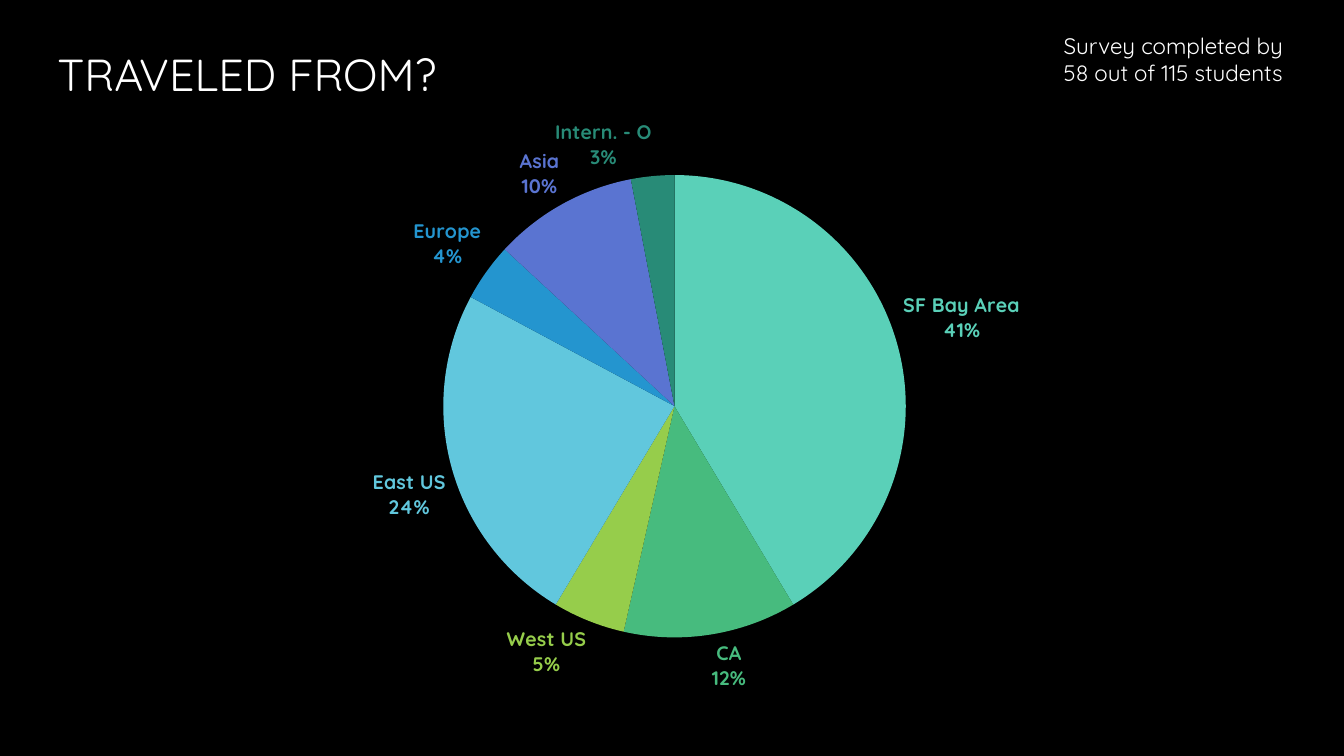
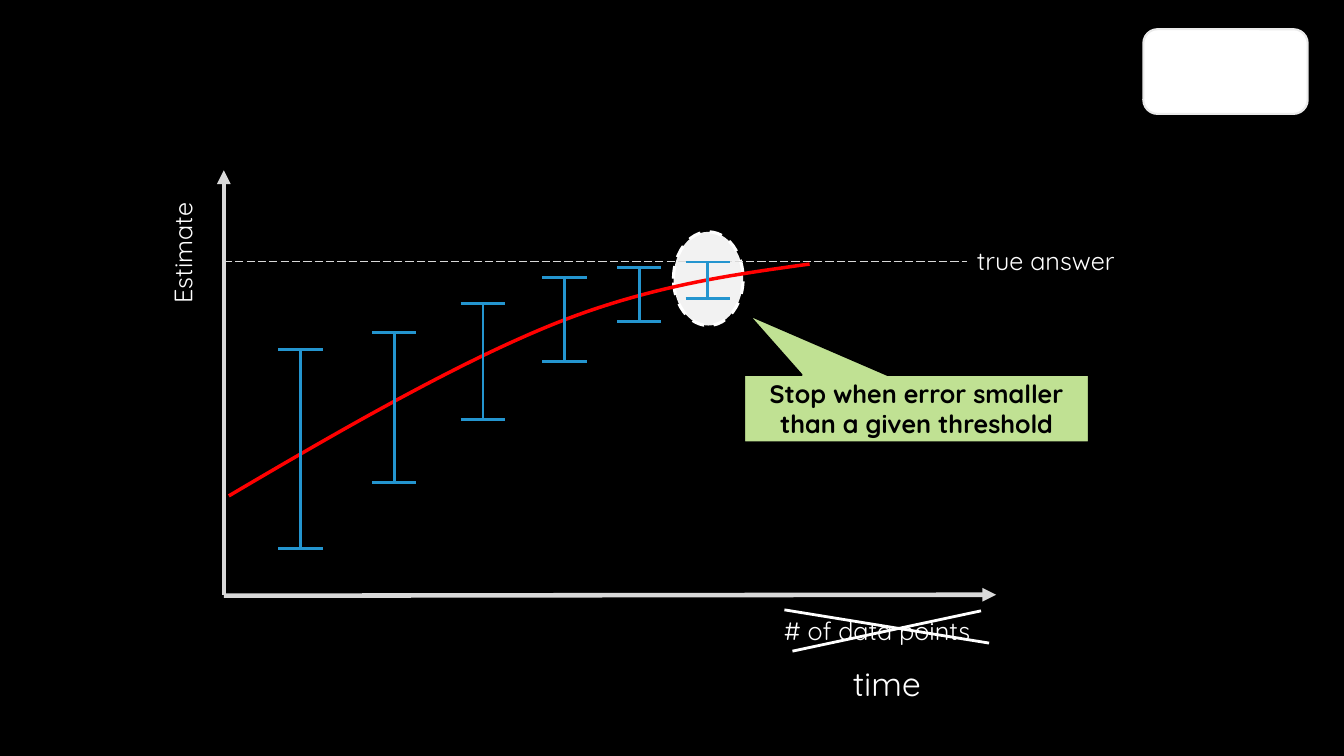
"""Build two slides: a pie of survey answers and a sketch of estimate error."""
from lxml import etree
from pptx import Presentation
from pptx.chart.data import CategoryChartData
from pptx.dml.color import RGBColor
from pptx.enum.chart import XL_CHART_TYPE, XL_LABEL_POSITION
from pptx.enum.dml import MSO_LINE
from pptx.enum.shapes import MSO_CONNECTOR, MSO_SHAPE
from pptx.enum.text import MSO_ANCHOR, PP_ALIGN
from pptx.oxml.ns import qn
from pptx.util import Inches, Pt

PIE, OUTSIDE = XL_CHART_TYPE.PIE, XL_LABEL_POSITION.OUTSIDE_END
DASH, LONG_DASH = MSO_LINE.DASH, MSO_LINE.LONG_DASH
STRAIGHT = MSO_CONNECTOR.STRAIGHT
OVAL, ROUND, CALLOUT = MSO_SHAPE.OVAL, MSO_SHAPE.ROUNDED_RECTANGLE, MSO_SHAPE.RECTANGULAR_CALLOUT
TOP, MIDDLE = MSO_ANCHOR.TOP, MSO_ANCHOR.MIDDLE
LEFT, CENTER = PP_ALIGN.LEFT, PP_ALIGN.CENTER

FONT = "Quicksand"
BLACK = RGBColor(0x00, 0x00, 0x00)
WHITE = RGBColor(0xFF, 0xFF, 0xFF)
PALE = RGBColor(0xF2, 0xF2, 0xF2)
EDGE = RGBColor(0xEB, 0xEB, 0xEB)
GREY = RGBColor(0xD9, 0xD9, 0xD9)
RED = RGBColor(0xFF, 0x00, 0x00)
LIME = RGBColor(0xC0, 0xE1, 0x93)
BLUE = RGBColor(0x24, 0x95, 0xCF)
MINT = RGBColor(0x5A, 0xD0, 0xB8)
GREEN = RGBColor(0x47, 0xBB, 0x7E)
GRASS = RGBColor(0x96, 0xCD, 0x4B)
SKY = RGBColor(0x61, 0xC7, 0xDD)
VIOLET = RGBColor(0x5A, 0x74, 0xD1)
TEAL = RGBColor(0x28, 0x8B, 0x77)

ORIGINS = [
    ("SF Bay Area", 41, MINT),
    ("CA", 12, GREEN),
    ("West US", 5, GRASS),
    ("East US", 24, SKY),
    ("Europe", 4, BLUE),
    ("Asia", 10, VIOLET),
    ("Intern. - O", 3, TEAL),
]
PLOT = {"x": 0.246, "y": 0.114, "w": 0.516, "h": 0.774}

BARS = [
    (2.98, 3.47, 5.44),
    (3.91, 3.3, 4.79),
    (4.79, 3.01, 4.16),
    (5.6, 2.75, 3.59),
    (6.34, 2.65, 3.19),
    (7.02, 2.6, 2.96),
]
CAP = 0.22
TREND = [
    ((2.27, 4.92), (3.39, 4.26), (4.52, 3.61), (5.48, 3.22)),
    ((5.48, 3.22), (6.43, 2.84), (7.23, 2.73), (8.03, 2.62)),
]
STEPS = 24


def style(font, size, color, bold=False):
    font.name, font.size, font.bold = FONT, Pt(size), bold
    font.color.rgb = color


def write(frame, text, size=18, color=WHITE, bold=False, align=LEFT, anchor=TOP):
    frame.word_wrap = True
    frame.vertical_anchor = anchor
    line = frame.paragraphs[0]
    line.alignment = align
    run = line.add_run()
    run.text = text
    style(run.font, size, color, bold)


def bezier(curve, t):
    weights = ((1 - t) ** 3, 3 * t * (1 - t) ** 2, 3 * t * t * (1 - t), t ** 3)
    return tuple(Inches(sum(w * p[axis] for w, p in zip(weights, curve))) for axis in (0, 1))


class Deck:
    def __init__(self):
        self.prs = Presentation()
        self.prs.slide_width, self.prs.slide_height = Inches(13.33), Inches(7.5)
        back = self.prs.slide_master.background.fill
        back.solid()
        back.fore_color.rgb = BLACK
        self.slide = None

    def page(self):
        self.slide = self.prs.slides.add_slide(self.prs.slide_layouts[6])

    def stroke(self, line, color, width, dash=None):
        line.color.rgb, line.width = color, Pt(width)
        if dash is not None:
            line.dash_style = dash

    def text(self, box, text, turn=0, **look):
        shape = self.slide.shapes.add_textbox(*map(Inches, box))
        shape.rotation = turn
        write(shape.text_frame, text, **look)

    def shape(self, kind, box, fill, edge, width, dash=None):
        shape = self.slide.shapes.add_shape(kind, *map(Inches, box))
        shape.shadow.inherit = False
        shape.fill.solid()
        shape.fill.fore_color.rgb = fill
        self.stroke(shape.line, edge, width, dash)
        return shape

    def line(self, start, end, color, width, dash=None, arrow=False):
        link = self.slide.shapes.add_connector(STRAIGHT, *map(Inches, start + end))
        self.stroke(link.line, color, width, dash)
        if arrow:
            ln = link.line._get_or_add_ln()
            etree.SubElement(ln, qn("a:tailEnd"), type="triangle")
        etree.SubElement(link._element.spPr, qn("a:effectLst"))

    def curve(self, parts, color, width):
        points = [bezier(part, i / STEPS) for part in parts for i in range(STEPS + 1)]
        pen = self.slide.shapes.build_freeform(*points[0])
        pen.add_line_segments(points[1:], close=False)
        shape = pen.convert_to_shape()
        shape.shadow.inherit = False
        shape.fill.background()
        self.stroke(shape.line, color, width)

    def pie(self, box, rows):
        data = CategoryChartData()
        data.categories = [name for name, _, _ in rows]
        data.add_series("Series 1", [value for _, value, _ in rows])
        chart = self.slide.shapes.add_chart(PIE, *map(Inches, box), data).chart
        chart.has_legend = chart.has_title = False
        style(chart.font, 10, WHITE)
        plot = chart.plots[0]
        plot.vary_by_categories = True
        for i, (_, _, color) in enumerate(rows):
            self.slice(plot.series[0].points[i], color)
        area = chart._chartSpace.find(".//" + qn("c:plotArea"))
        for old in area.findall(qn("c:layout")):
            area.remove(old)
        layout = etree.Element(qn("c:layout"))
        area.insert(0, layout)
        manual = etree.SubElement(layout, qn("c:manualLayout"))
        marks = {"layoutTarget": "inner", "xMode": "edge", "yMode": "edge", **PLOT}
        for tag, value in marks.items():
            etree.SubElement(manual, qn("c:" + tag), val=str(value))

    def slice(self, point, color):
        point.format.fill.solid()
        point.format.fill.fore_color.rgb = color
        point.format.line.fill.background()
        label = point.data_label
        style(label.font, 14, color, True)
        label.position = OUTSIDE
        node = label._dLbl
        for tag, value in (("showVal", "0"), ("showCatName", "1"), ("showPercent", "1")):
            node.find(qn("c:" + tag)).set("val", value)
        etree.SubElement(node, qn("c:separator")).text = "\n"


def survey(deck):
    deck.page()
    deck.text((10.45, 0.27, 2.61, 0.64), "Survey completed by 58 out of 115 students", size=16)
    deck.pie((2.21, 1.06, 8.89, 5.93), ORIGINS)
    deck.text((0.47, 0.41, 9, 0.75), "TRAVELED FROM?", size=32)


def estimate(deck):
    deck.page()
    deck.shape(OVAL, (6.68, 2.3, 0.69, 0.93), PALE, WHITE, 2.25, DASH)
    deck.line((2.22, 5.9), (2.22, 1.69), GREY, 3.25, arrow=True)
    deck.line((2.22, 5.91), (9.88, 5.9), GREY, 3.25, arrow=True)
    deck.shape(ROUND, (11.34, 0.29, 1.63, 0.84), WHITE, EDGE, 1.5)
    deck.text((0.94, 2.04, 1.74, 0.4), "Estimate", turn=270)
    deck.text((7.68, 6.06, 2.2, 0.4), "# of data points")
    deck.line((2.22, 2.59), (9.59, 2.59), GREY, 0.75, LONG_DASH)
    deck.text((9.59, 2.38, 2.2, 0.4), "true answer")
    deck.curve(TREND, RED, 2.5)
    note = deck.shape(CALLOUT, (7.38, 3.72, 3.42, 0.67), LIME, BLACK, 1.5)
    note.adjustments[0], note.adjustments[1] = -0.488, -1.393
    write(note.text_frame, "Stop when error smaller than a given threshold",
          color=BLACK, bold=True, align=CENTER, anchor=MIDDLE)
    for x, high, low in BARS:
        deck.line((x, high), (x, low), BLUE, 2)
        for y in (low, high):
            deck.line((x - CAP, y), (x + CAP, y), BLUE, 2)
    deck.line((7.86, 6.46), (9.73, 6.06), WHITE, 2)
    deck.line((7.78, 6.05), (9.81, 6.38), WHITE, 2)
    deck.text((8.36, 6.53, 2.2, 0.5), "time", size=24)


def main():
    deck = Deck()
    survey(deck)
    estimate(deck)
    deck.prs.save("out.pptx")


if __name__ == "__main__":
    main()
